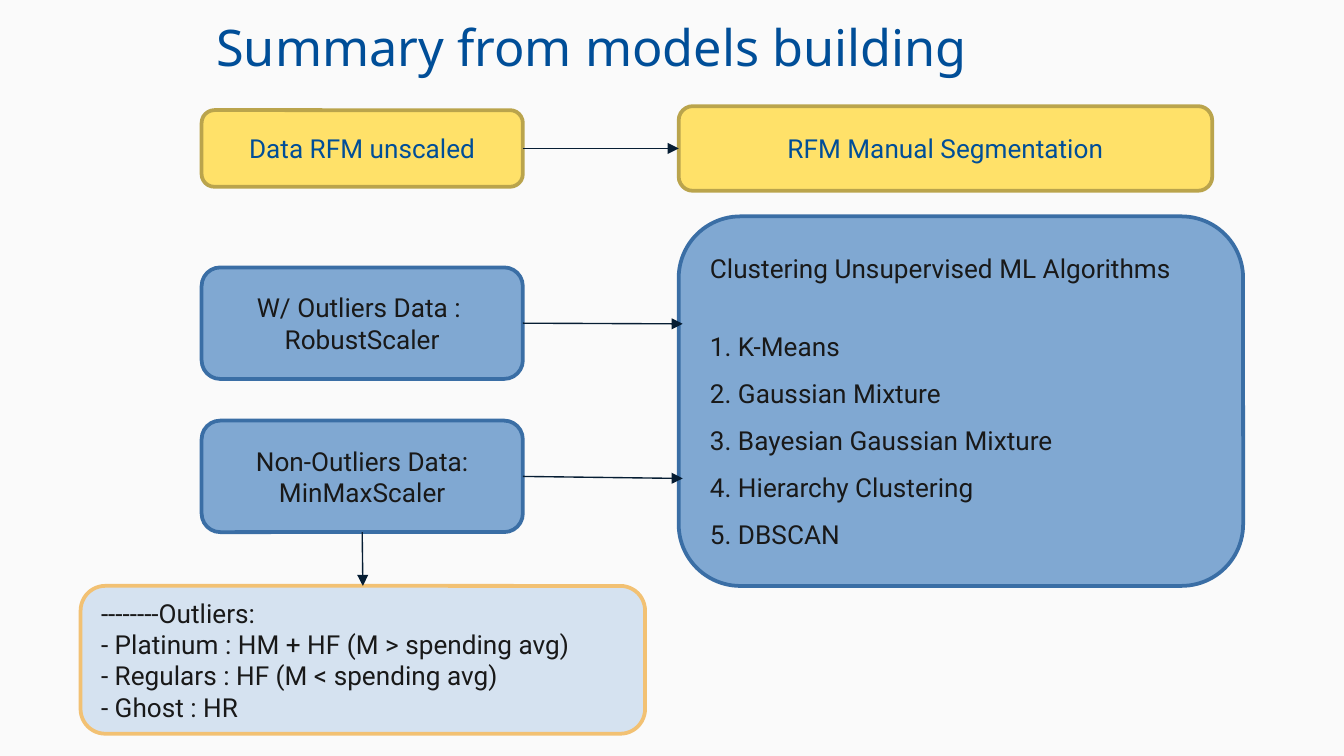
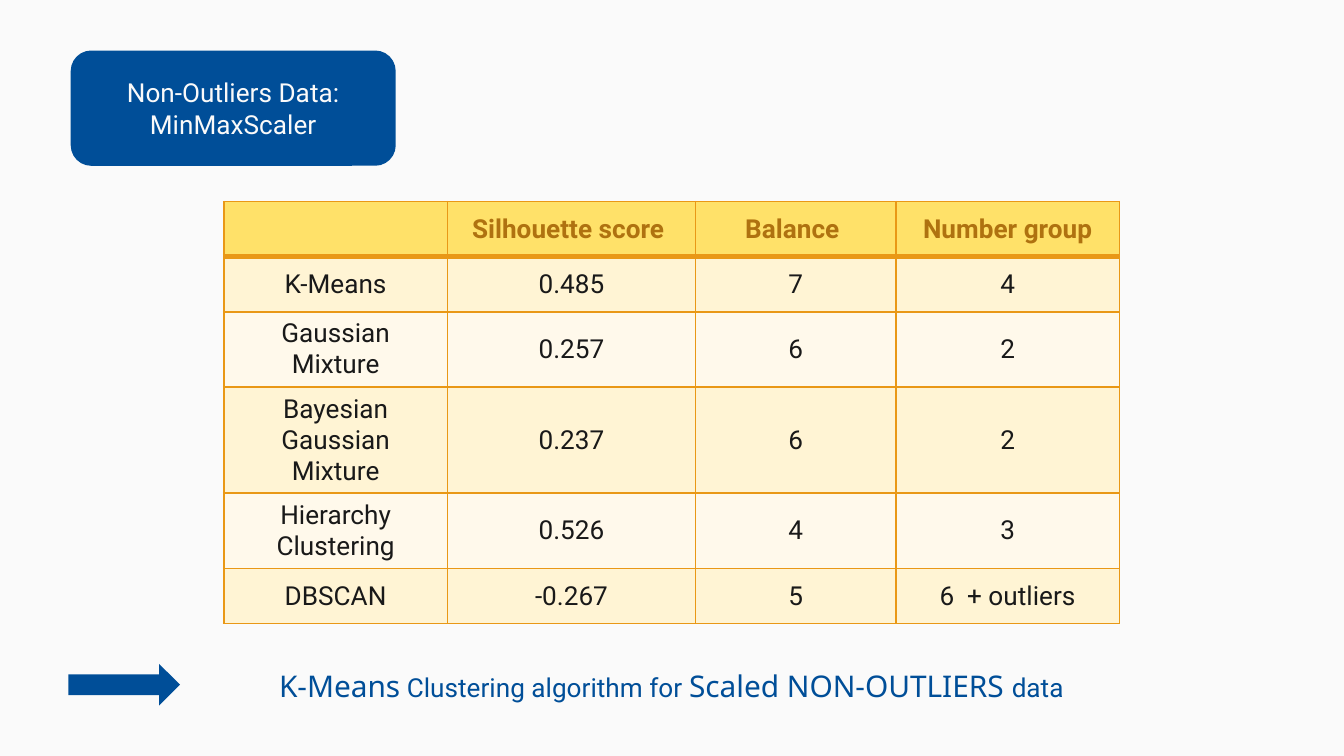
from dataclasses import dataclass
from typing import NamedTuple, Optional

import lxml.etree
import pptx
import pptx.dml.color
import pptx.enum.shapes
import pptx.enum.text
import pptx.oxml.ns
import pptx.util

PX = 4572  # EMU in one px, 200 px to the inch
BODY_FONT, DISPLAY_FONT = "Roboto", "Noto Sans"
BODY_SIZE = 14
COLORS = {
    "paper": "FAFAFA",
    "ink": "191919",
    "navy": "004E98",
    "arrow": "061D33",
    "yellow": "FFE169",
    "olive": "BAA44C",
    "blue": "80A8D2",
    "blue_edge": "3A6EA5",
    "pale_blue": "D5E2F0",
    "peach": "F2C173",
    "header_text": "AF7210",
    "grid": "E99816",
    "row_odd": "FFF4D4",
    "row_even": "FFF9EB",
}
SHAPES = pptx.enum.shapes.MSO_SHAPE
ALIGN = pptx.enum.text.PP_ALIGN
ANCHOR = pptx.enum.text.MSO_ANCHOR
AUTO_SIZE = pptx.enum.text.MSO_AUTO_SIZE


class Box(NamedTuple):
    left: int
    top: int
    width: int
    height: int


class Span(NamedTuple):
    text: str
    font: str = BODY_FONT
    size: int = BODY_SIZE


@dataclass(frozen=True)
class Card:
    box: Box
    lines: tuple[str, ...]
    fill: str
    edge: str
    ink: str = "ink"
    align: ALIGN = ALIGN.CENTER
    list_start: Optional[int] = None  # first line of a loosely spaced list


@dataclass(frozen=True)
class Arrow:
    source: str
    source_site: int
    end: tuple[int, int]
    target: Optional[str] = None
    target_site: int = 0


TOP, LEFT, BOTTOM, RIGHT = range(4)  # connection sites of a card

MINMAX_LINES = ("Non-Outliers Data:", "MinMaxScaler")

CARDS = {
    "unscaled": Card(Box(300, 164, 478, 114), ("Data RFM unscaled",),
                     "yellow", "olive", "navy"),
    "manual": Card(Box(1010, 158, 794, 126), ("RFM Manual Segmentation",),
                   "yellow", "olive", "navy"),
    "robust": Card(Box(300, 398, 478, 166), ("W/ Outliers Data : ", "RobustScaler"),
                   "blue", "blue_edge"),
    "algorithms": Card(
        Box(1010, 322, 840, 550),
        ("Clustering Unsupervised ML Algorithms", "1. K-Means", "2. Gaussian Mixture",
         "3. Bayesian Gaussian Mixture", "4. Hierarchy Clustering", "5. DBSCAN"),
        "blue", "blue_edge", align=ALIGN.LEFT, list_start=1),
    "minmax": Card(Box(300, 626, 478, 166), MINMAX_LINES, "blue", "blue_edge"),
    "outliers": Card(
        Box(120, 872, 840, 220),
        ("--------Outliers:", "- Platinum : HM + HF (M > spending avg)",
         "- Regulars : HF (M < spending avg)", "- Ghost : HR"),
        "pale_blue", "peach", align=ALIGN.LEFT),
}
ARROWS = (
    Arrow("unscaled", RIGHT, (1010, 221), "manual", LEFT),
    Arrow("robust", RIGHT, (1016, 482)),
    Arrow("minmax", RIGHT, (1016, 712)),
    Arrow("minmax", BOTTOM, (540, 872), "outliers", TOP),
)
DATA_CARD = Card(Box(108, 78, 478, 166), MINMAX_LINES, "navy", "navy", "paper")

SCORES = (
    ("", "Silhouette score ", "Balance ", "Number group"),
    ("K-Means", "0.485", "7", "4"),
    ("Gaussian Mixture", "0.257", "6", "2"),
    ("Bayesian Gaussian Mixture", "0.237", "6", "2"),
    ("Hierarchy Clustering", "0.526", "4", "3"),
    ("DBSCAN", "-0.267", "5", "6  + outliers"),
)
SCORE_WIDTHS = (333, 369, 298, 333)
SCORE_ROW_HEIGHT = 82

CONCLUSION = (
    Span("K-Means", DISPLAY_FONT, 16),
    Span(" Clustering algorithm for "),
    Span("Scaled NON-OUTLIERS ", DISPLAY_FONT, 16),
    Span("data"),
)


def rgb(color: str) -> pptx.dml.color.RGBColor:
    return pptx.dml.color.RGBColor.from_string(COLORS[color])


def emu(box: Box) -> list[int]:
    return [length * PX for length in box]


def paint(fill, color: str) -> None:
    fill.solid()
    fill.fore_color.rgb = rgb(color)


def add_span(paragraph, span: Span, color: str, bold: bool = False) -> None:
    run = paragraph.add_run()
    run.text = span.text
    run.font.name = span.font
    run.font.size = pptx.util.Pt(span.size)
    run.font.bold = bold
    run.font.color.rgb = rgb(color)


def set_insets(frame, horizontal: int, vertical: int) -> None:
    frame.margin_left = frame.margin_right = horizontal * PX
    frame.margin_top = frame.margin_bottom = vertical * PX


def add_card(slide, card: Card):
    shape = slide.shapes.add_shape(SHAPES.ROUNDED_RECTANGLE, *emu(card.box))
    shape.shadow.inherit = False
    shape.adjustments[0] = 0.167
    paint(shape.fill, card.fill)
    shape.line.color.rgb = rgb(card.edge)
    shape.line.width = pptx.util.Pt(2)
    frame = shape.text_frame
    frame.word_wrap = True
    frame.vertical_anchor = ANCHOR.MIDDLE
    set_insets(frame, 20, 10)
    for index, line in enumerate(card.lines):
        paragraph = frame.add_paragraph() if index else frame.paragraphs[0]
        paragraph.alignment = card.align
        if card.list_start is not None and index >= card.list_start:
            paragraph.line_spacing = 1.5
            if index == card.list_start:
                paragraph.space_before = pptx.util.Pt(16.5)
        add_span(paragraph, Span(line), card.ink)
    return shape


def add_arrow(slide, arrow: Arrow, cards: dict) -> None:
    end_x, end_y = (length * PX for length in arrow.end)
    connector = slide.shapes.add_connector(
        pptx.enum.shapes.MSO_CONNECTOR.STRAIGHT, 0, 0, end_x, end_y)
    connector.begin_connect(cards[arrow.source], arrow.source_site)
    if arrow.target:
        connector.end_connect(cards[arrow.target], arrow.target_site)
    connector.line.color.rgb = rgb("arrow")
    connector.line.width = pptx.util.Pt(0.75)
    qn = pptx.oxml.ns.qn
    lxml.etree.SubElement(connector.line._get_or_add_ln(), qn("a:tailEnd"), type="triangle")
    lxml.etree.SubElement(connector._element.spPr, qn("a:effectLst"))


def add_borders(cell, top: int, bottom: int) -> None:
    """Draw the four cell borders; must run before the cell is filled."""
    qn = pptx.oxml.ns.qn
    properties = cell._tc.get_or_add_tcPr()
    for side, points in (("L", 1), ("R", 1), ("T", top), ("B", bottom)):
        border = lxml.etree.SubElement(
            properties, qn(f"a:ln{side}"), w=str(pptx.util.Pt(points)))
        solid = lxml.etree.SubElement(border, qn("a:solidFill"))
        lxml.etree.SubElement(solid, qn("a:srgbClr"), val=COLORS["grid"])


def add_scores(slide) -> None:
    box = Box(333, 300, sum(SCORE_WIDTHS), SCORE_ROW_HEIGHT * len(SCORES))
    table = slide.shapes.add_table(len(SCORES), len(SCORE_WIDTHS), *emu(box)).table
    table.horz_banding = False
    for column, width in zip(table.columns, SCORE_WIDTHS):
        column.width = width * PX
    for row, values in enumerate(SCORES):
        table.rows[row].height = SCORE_ROW_HEIGHT * PX
        is_header = row == 0
        fill = "yellow" if is_header else ("row_even", "row_odd")[row % 2]
        for column, value in enumerate(values):
            cell = table.cell(row, column)
            add_borders(cell, top=3 if row == 1 else 1, bottom=3 if is_header else 1)
            paint(cell.fill, fill)
            cell.vertical_anchor = ANCHOR.MIDDLE
            set_insets(cell, 20, 10)
            if value:
                paragraph = cell.text_frame.paragraphs[0]
                paragraph.alignment = ALIGN.CENTER
                add_span(paragraph, Span(value),
                         "header_text" if is_header else "ink", is_header)


def set_title(slide, text: str) -> None:
    title = slide.shapes.title
    title.left, title.top, title.width, title.height = emu(Box(302, 22, 1696, 126))
    frame = title.text_frame
    frame.word_wrap = True
    frame.auto_size = AUTO_SIZE.NONE
    frame.vertical_anchor = ANCHOR.TOP
    set_insets(frame, 20, 20)
    paragraph = frame.paragraphs[0]
    paragraph.alignment = ALIGN.LEFT
    paragraph.line_spacing = 0.8
    add_span(paragraph, Span(text, DISPLAY_FONT, 27), "navy")


def add_conclusion(slide) -> None:
    pointer = slide.shapes.add_shape(SHAPES.RIGHT_ARROW, *emu(Box(102, 988, 166, 62)))
    pointer.shadow.inherit = False
    paint(pointer.fill, "navy")
    pointer.line.fill.background()
    frame = slide.shapes.add_textbox(*emu(Box(304, 984, 1390, 74))).text_frame
    frame.word_wrap = True
    frame.auto_size = AUTO_SIZE.SHAPE_TO_FIT_TEXT
    set_insets(frame, 20, 10)
    paragraph = frame.paragraphs[0]
    paragraph.alignment = ALIGN.CENTER
    for span in CONCLUSION:
        add_span(paragraph, span, "navy")


def build_summary(deck) -> None:
    slide = deck.slides.add_slide(deck.slide_layouts.get_by_name("Title Only"))
    set_title(slide, "Summary from models building")
    cards = {key: add_card(slide, card) for key, card in CARDS.items()}
    for arrow in ARROWS:
        add_arrow(slide, arrow, cards)


def build_results(deck) -> None:
    slide = deck.slides.add_slide(deck.slide_layouts.get_by_name("Blank"))
    add_card(slide, DATA_CARD)
    add_scores(slide)
    add_conclusion(slide)


def main() -> None:
    deck = pptx.Presentation()
    deck.slide_width, deck.slide_height = 2000 * PX, 1125 * PX
    paint(deck.slide_master.background.fill, "paper")
    build_summary(deck)
    build_results(deck)
    deck.save("out.pptx")


if __name__ == "__main__":
    main()
